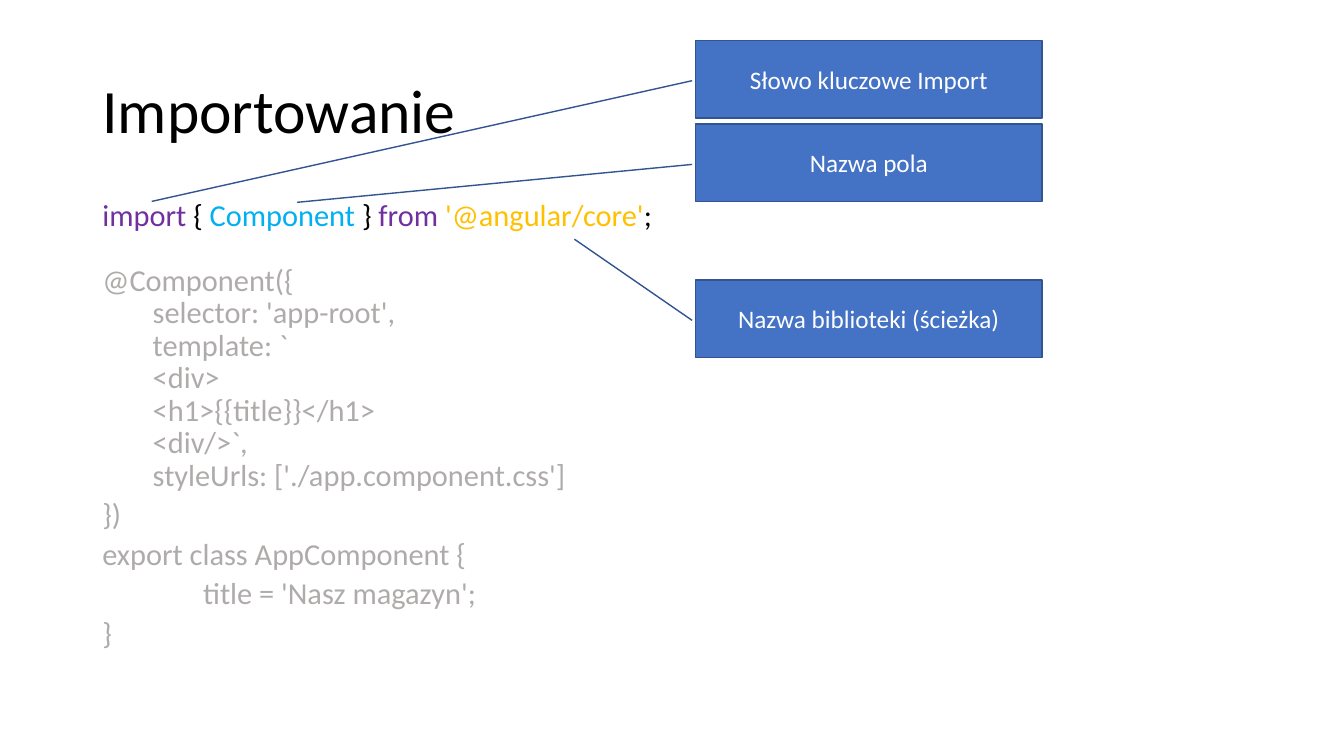
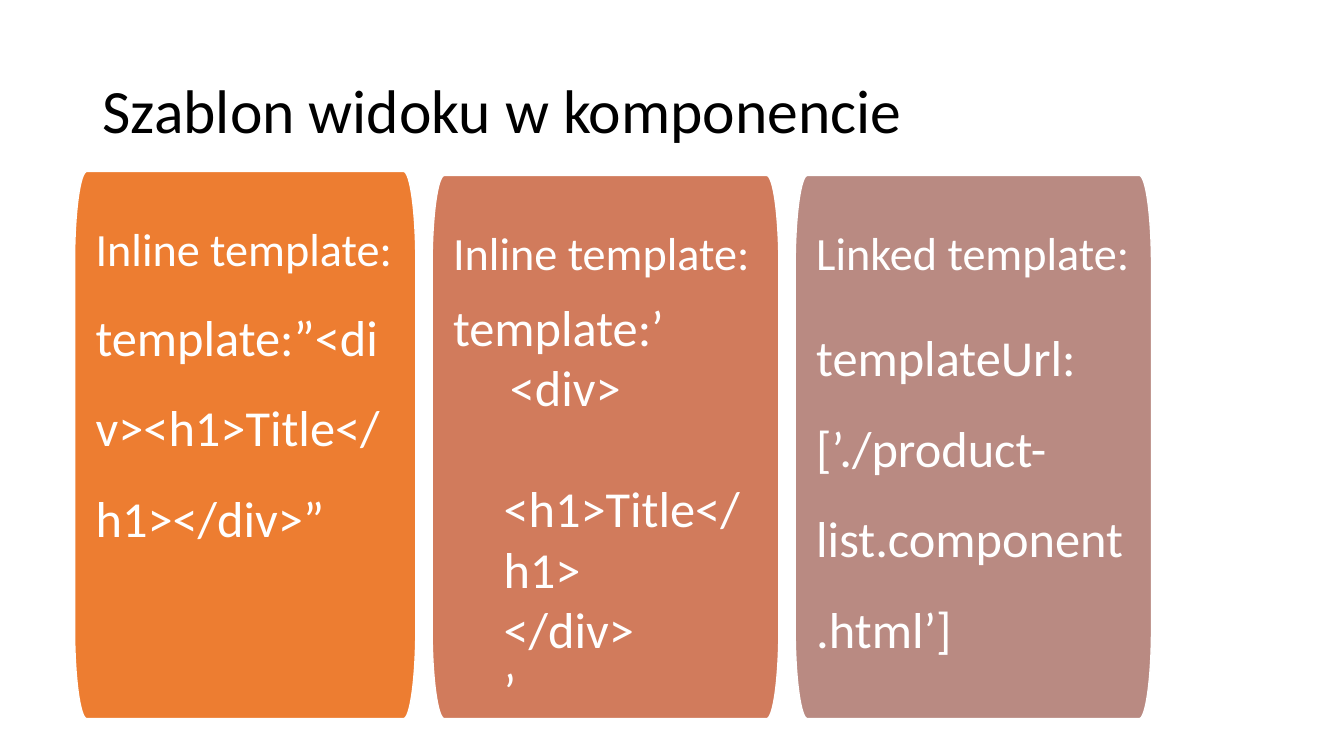
"""Builds two slides on imports and view templates in components."""
from pptx import Presentation
from pptx.dml.color import RGBColor
from pptx.enum.shapes import MSO_SHAPE
from pptx.enum.text import MSO_ANCHOR, MSO_AUTO_SIZE, PP_ALIGN
from pptx.oxml.ns import qn
from pptx.util import Cm, Pt

CALLOUT = MSO_SHAPE.LINE_CALLOUT_1
MIDDLE, TOP = MSO_ANCHOR.MIDDLE, MSO_ANCHOR.TOP
LEFT, CENTER = PP_ALIGN.LEFT, PP_ALIGN.CENTER
NO_FIT = MSO_AUTO_SIZE.NONE

FONT = "Calibri"
BLACK = RGBColor(0x00, 0x00, 0x00)
WHITE = RGBColor(0xFF, 0xFF, 0xFF)
GRAY = RGBColor(0xAF, 0xAB, 0xAB)
PURPLE = RGBColor(0x70, 0x30, 0xA0)
CYAN = RGBColor(0x00, 0xB0, 0xF0)
GOLD = RGBColor(0xFF, 0xC0, 0x00)
BLUE = RGBColor(0x44, 0x72, 0xC4)
NAVY = RGBColor(0x32, 0x54, 0x91)
ORANGE = RGBColor(0xED, 0x7D, 0x31)
TERRACOTTA = RGBColor(0xD1, 0x7B, 0x5C)
MAUVE = RGBColor(0xB9, 0x8A, 0x82)

MARGIN, CONTENT_W = 2.33, 29.21
INDENT = 1.27
CODE_SIZE, HEAD_SIZE, BODY_SIZE = 21.7, 33, 36
PANEL_BOTTOM, PANEL_GAP, PANEL_INSET = 18.11, 0.41, 0.53
CORNER_W, CORNER_H, CURVE = 0.31, 2.29, 0.55

IMPORT_LINE = [("import", PURPLE), (" { ", BLACK), ("Component", CYAN), (" } ", BLACK),
               ("from ", PURPLE), ("'@angular/core'", GOLD), (";", BLACK)]
CODE = [("@Component({", 0, 28), ("selector: 'app-root',", 1, 5), ("template: `", 1, 5),
        ("<div>", 1, 5), ("<h1>{{title}}</h1>", 1, 5), ("<div/>`,", 1, 5),
        ("styleUrls: ['./app.component.css']", 1, 5), ("})", 0, 10),
        ("export class AppComponent {", 0, 10), ("title = 'Nasz magazyn';", 2, 10), ("}", 0, 10)]
CALLOUTS = [("Słowo kluczowe Import", 1.02, (2.08, -1.57)),
            ("Nazwa pola", 3.13, (1.01, -1.15)),
            ("Nazwa biblioteki (ścieżka)", 7.06, (-0.53, -0.35))]

WIDE = {"line_spacing": 1.5}
WIDE_SPACED = {"line_spacing": 1.5, "space_after": Pt(11.5)}
PANELS = [
    (8.6, 4.32, ORANGE, [
        ([("Inline template:", HEAD_SIZE), (" ", 18),
          ("template:”<div><h1>Title</h1></div>”", BODY_SIZE)], 0, WIDE)]),
    (8.74, 4.42, TERRACOTTA, [
        ([("Inline template:", HEAD_SIZE)], 0, WIDE_SPACED),
        ([("template:’", BODY_SIZE)], 0, {}),
        ([("<div>", BODY_SIZE)], 1.43, {}),
        ([("<h1>Title</h1>", BODY_SIZE)], INDENT, {"space_before": Pt(43.5)}),
        ([("</div>", BODY_SIZE)], INDENT, {}),
        ([("’", BODY_SIZE)], INDENT, {})]),
    (8.98, 4.42, MAUVE, [
        ([("Linked template:", HEAD_SIZE)], 0, WIDE_SPACED),
        ([("templateUrl:[’./product-list.component.html’]", BODY_SIZE)], 0, WIDE_SPACED)]),
]


def apply(obj, values):
    """Set each attribute named in a dict of format values."""
    for name, value in values.items():
        setattr(obj, name, value)


def set_frame(tf, anchor, inset=None):
    """Make a text frame wrap at a fixed size, with optional equal insets."""
    apply(tf, {"word_wrap": True, "auto_size": NO_FIT, "vertical_anchor": anchor})
    if inset is not None:
        sides = ("left", "top", "right", "bottom")
        apply(tf, {f"margin_{side}": Cm(inset) for side in sides})


def add_paragraph(tf, runs, indent=0, **values):
    """Write (text, size, colour) runs into the next paragraph of a frame."""
    first = tf.paragraphs[0]
    p = tf.add_paragraph() if first.runs else first
    apply(p, {"alignment": LEFT, **values})
    if indent:
        p._p.get_or_add_pPr().set("marL", str(Cm(indent)))
    for text, size, color in runs:
        r = p.add_run()
        r.text = text
        apply(r.font, {"name": FONT, "size": Pt(size)})
        r.font.color.rgb = color


def paint(sp, fill, line):
    """Give a shape a flat fill and a one point outline."""
    sp.shadow.inherit = False
    sp.fill.solid()
    sp.fill.fore_color.rgb = fill
    sp.line.color.rgb = line
    sp.line.width = Pt(1)


def add_titled_slide(prs, title):
    """Add a title-only slide with the shared title style."""
    s = prs.slides.add_slide(prs.slide_layouts[5])
    sp = s.shapes.title
    apply(sp, {"left": Cm(MARGIN), "top": Cm(1.01), "width": Cm(CONTENT_W), "height": Cm(3.68)})
    set_frame(sp.text_frame, MIDDLE)
    add_paragraph(sp.text_frame, [(title, 44, BLACK)], line_spacing=0.9)
    return s


def add_code(s):
    """Add the code listing with its highlighted import line."""
    sp = s.shapes.add_textbox(Cm(MARGIN), Cm(5.07), Cm(CONTENT_W), Cm(12.09))
    tf = sp.text_frame
    set_frame(tf, TOP)
    runs = [(text, CODE_SIZE, color) for text, color in IMPORT_LINE]
    add_paragraph(tf, runs, line_spacing=0.7, space_before=Pt(10))
    for text, level, before in CODE:
        add_paragraph(tf, [(text, CODE_SIZE, GRAY)], level * INDENT,
                      line_spacing=0.7, space_before=Pt(before))


def add_callout(s, text, top, target):
    """Add a callout box whose line ends at target, a (y, x) share of the box."""
    sp = s.shapes.add_shape(CALLOUT, Cm(17.53), Cm(top), Cm(8.73), Cm(1.95))
    for i, value in enumerate((0.52, -0.01, *target)):
        sp.adjustments[i] = value
    paint(sp, BLUE, NAVY)
    set_frame(sp.text_frame, MIDDLE)
    add_paragraph(sp.text_frame, [(text, 18, WHITE)], alignment=CENTER)


def panel_points(left, top, right, bottom):
    """Return four points for each corner: start, two handles and end."""
    points = []
    corners = [(left, top, 1, 1), (right, top, -1, 1),
               (right, bottom, -1, -1), (left, bottom, 1, -1)]
    for i, (x, y, dx, dy) in enumerate(corners):
        near_w, near_h = CORNER_W * (1 - CURVE), CORNER_H * (1 - CURVE)
        corner = [(x, y + dy * CORNER_H), (x, y + dy * near_h),
                  (x + dx * near_w, y), (x + dx * CORNER_W, y)]
        points += corner[::-1] if i % 2 else corner
    return [(Cm(x), Cm(y)) for x, y in points]


def round_corners(sp):
    """Merge the three segments of each corner into one Bezier curve."""
    segments = list(sp._element.iter(qn("a:lnTo")))
    for i in range(0, len(segments), 4):
        curve, *rest = segments[i:i + 3]
        curve.tag = qn("a:cubicBezTo")
        for segment in rest:
            curve.append(segment[0])
            segment.getparent().remove(segment)


def add_panel(s, left, top, width, fill, paragraphs):
    """Add a coloured panel holding a heading and a template sample."""
    start, *others = panel_points(left, top, left + width, PANEL_BOTTOM)
    builder = s.shapes.build_freeform(*start)
    builder.add_line_segments([*others, start], close=True)
    sp = builder.convert_to_shape()
    round_corners(sp)
    paint(sp, fill, WHITE)
    set_frame(sp.text_frame, TOP, PANEL_INSET)
    for runs, indent, values in paragraphs:
        runs = [(text, size, WHITE) for text, size in runs]
        add_paragraph(sp.text_frame, runs, indent, **values)


def main():
    """Build and save the presentation."""
    prs = Presentation()
    apply(prs, {"slide_width": Cm(33.87), "slide_height": Cm(19.05)})

    s = add_titled_slide(prs, "Importowanie")
    add_code(s)
    for text, top, target in CALLOUTS:
        add_callout(s, text, top, target)

    s = add_titled_slide(prs, "Szablon widoku w komponencie")
    left = 1.88
    for width, top, fill, paragraphs in PANELS:
        add_panel(s, left, top, width, fill, paragraphs)
        left += width + PANEL_GAP

    prs.save("out.pptx")


if __name__ == "__main__":
    main()
